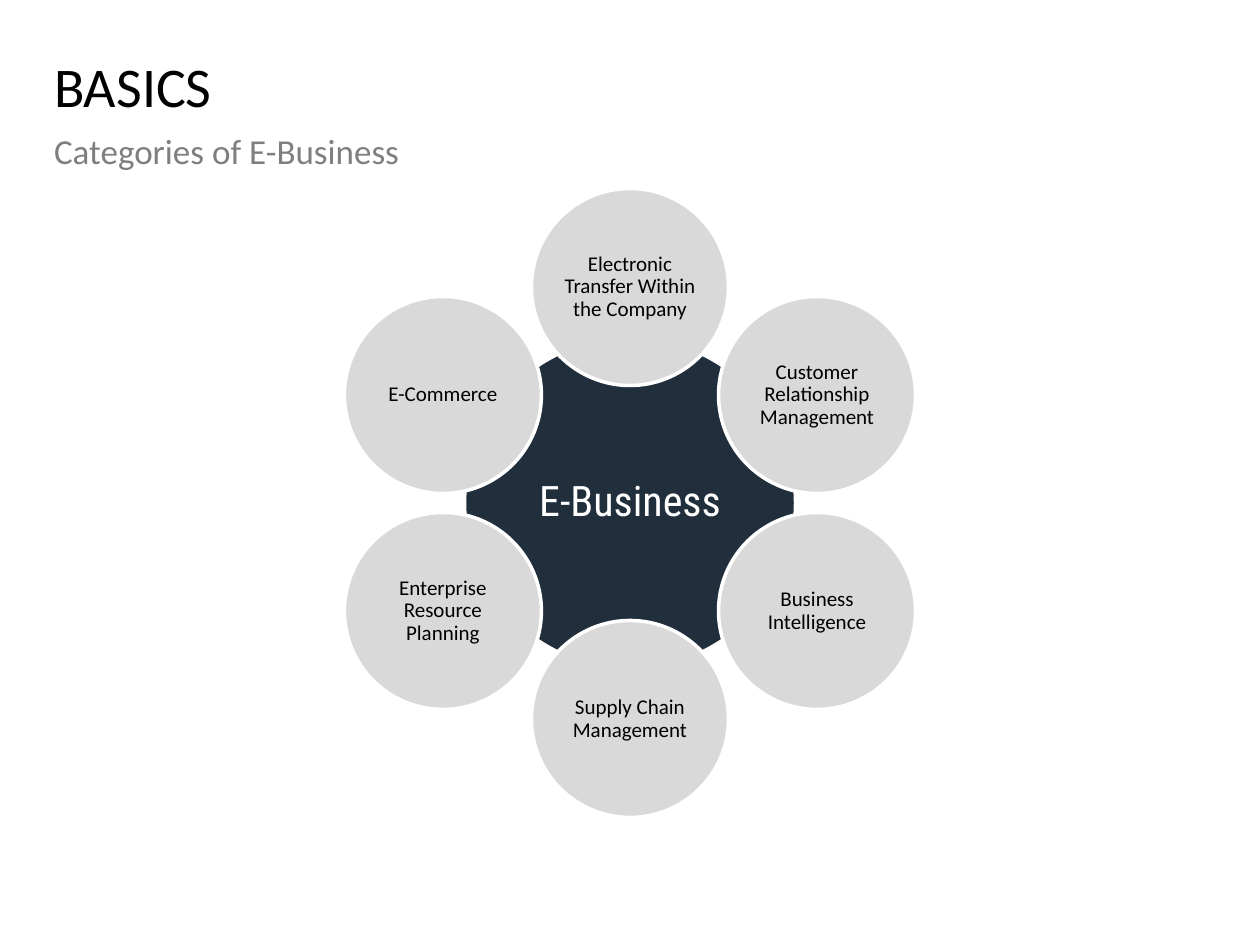
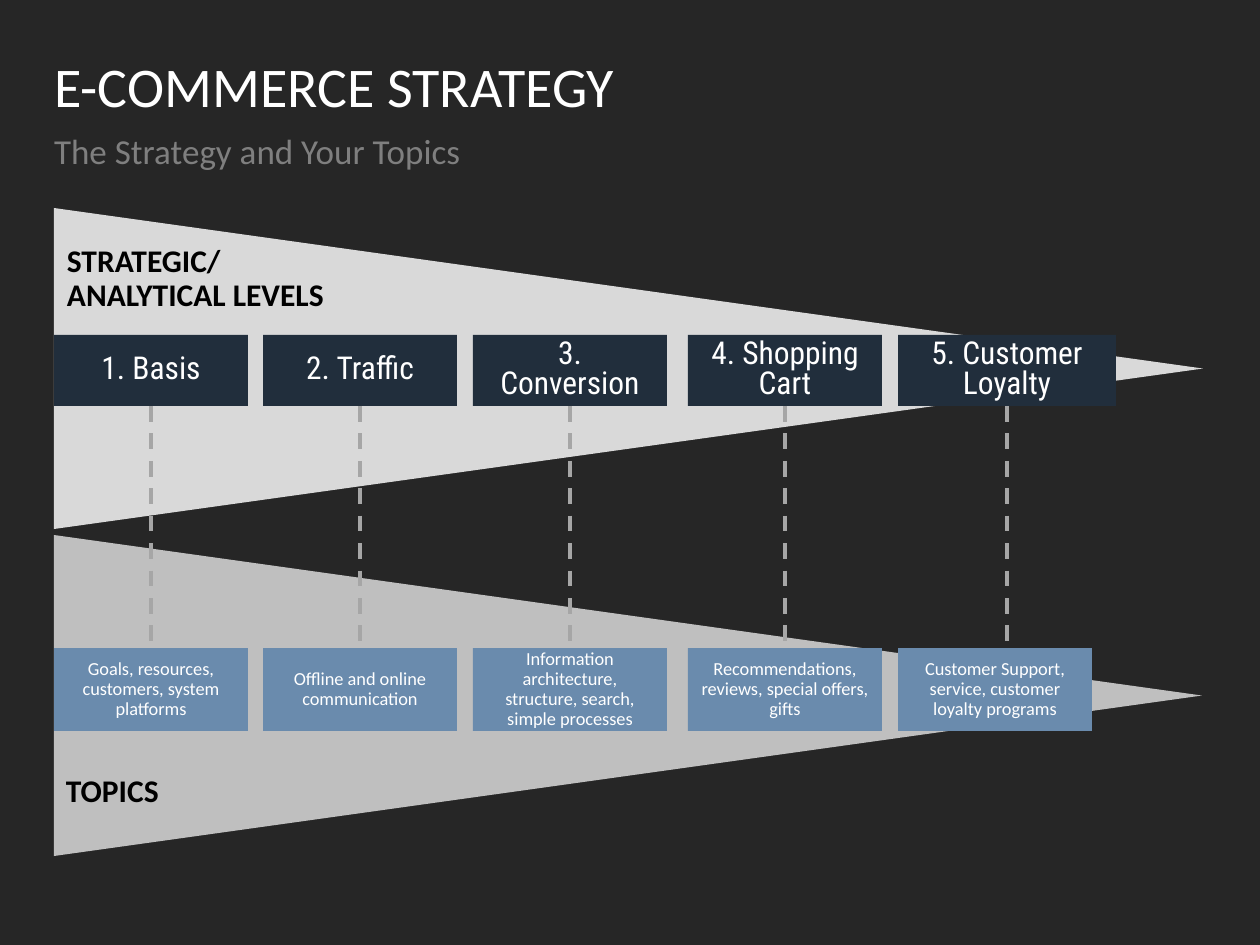
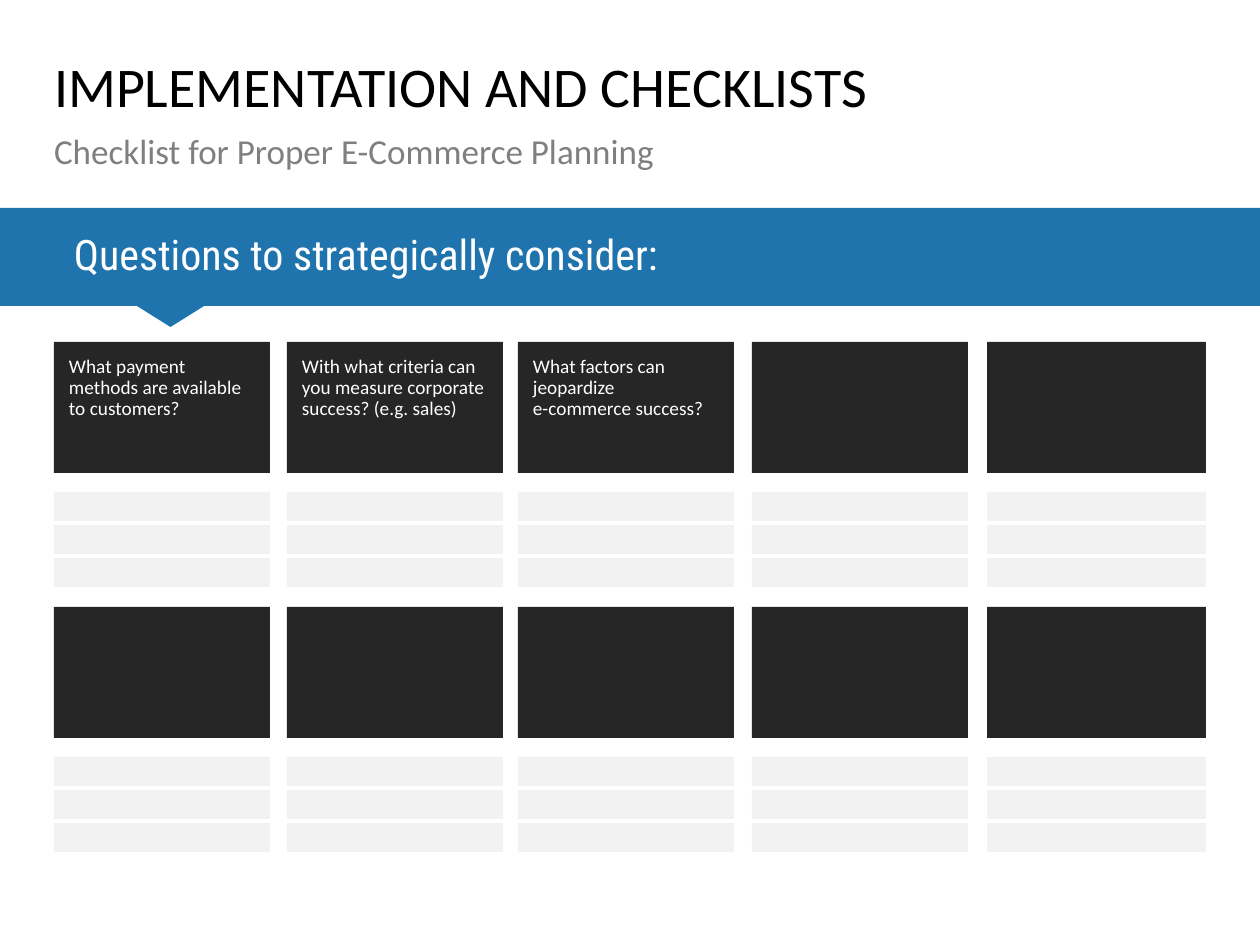
from copy import deepcopy
from math import cos, radians, sin

from lxml.etree import SubElement
from pptx import Presentation
from pptx.dml.color import RGBColor
from pptx.enum.dml import MSO_LINE
from pptx.enum.shapes import MSO_CONNECTOR, MSO_SHAPE
from pptx.enum.text import MSO_ANCHOR, PP_ALIGN
from pptx.oxml.ns import qn
from pptx.util import Pt

PIXEL = 914400 / 126
WHITE = RGBColor(0xFF, 0xFF, 0xFF)
BLACK = RGBColor(0x00, 0x00, 0x00)
CHARCOAL = RGBColor(0x26, 0x26, 0x26)
NAVY = RGBColor(0x21, 0x2E, 0x3C)
BLUE = RGBColor(0x1F, 0x74, 0xAD)
STEEL = RGBColor(0x6A, 0x8B, 0xAD)
GRAY = RGBColor(0x7F, 0x7F, 0x7F)
DASH_GRAY = RGBColor(0xA6, 0xA6, 0xA6)
MID_GRAY = RGBColor(0xBF, 0xBF, 0xBF)
LIGHT_GRAY = RGBColor(0xD9, 0xD9, 0xD9)
PALE_GRAY = RGBColor(0xF2, 0xF2, 0xF2)

BODY_FONT = "Calibri"
ACCENT_FONT = "Roboto Condensed"
MARGIN = 54
CONTENT_WIDTH = 1150

TITLE = {"size": 32, "inset": (0, 0)}
SUBTITLE = {"size": 20, "color": GRAY, "inset": (0, 0)}
CENTERED = {"align": PP_ALIGN.CENTER, "anchor": MSO_ANCHOR.MIDDLE}
HUB = CENTERED | {"size": 24, "font": ACCENT_FONT, "color": WHITE, "inset": (4, 4)}
CATEGORY = CENTERED | {"size": 12, "inset": (2, 2)}
LEVEL = CENTERED | {"size": 18, "font": ACCENT_FONT, "color": WHITE, "spacing": 0.8}
TOPIC = CENTERED | {"size": 10.5, "color": WHITE}
HEADING = {"size": 18, "bold": True}
BAND = {"size": 24, "font": ACCENT_FONT, "color": WHITE,
        "anchor": MSO_ANCHOR.MIDDLE, "inset": (74, 6)}
QUESTION = {"size": 11, "color": WHITE, "inset": (15, 15)}


def px(value):
    return round(value * PIXEL)


def apply(target, values):
    for name, value in values.items():
        setattr(target, name, value)


class Deck:
    def __init__(self):
        self.presentation = Presentation()
        apply(self.presentation, {"slide_width": px(1260), "slide_height": px(945)})
        self.slide = None

    def add_slide(self, title, subtitle, background=WHITE, title_color=BLACK):
        self.slide = self.presentation.slides.add_slide(self.presentation.slide_layouts[6])
        fill = self.slide.background.fill
        fill.solid()
        fill.fore_color.rgb = background
        self.text(MARGIN, 59, CONTENT_WIDTH, 149, title, TITLE | {"color": title_color})
        self.text(MARGIN, 134, CONTENT_WIDTH, 74, subtitle, SUBTITLE)

    def fill_text(self, shape, text, style):
        horizontal, vertical = (px(side) for side in style.get("inset", (13, 6)))
        frame = shape.text_frame
        apply(frame, {
            "word_wrap": True,
            "vertical_anchor": style.get("anchor", MSO_ANCHOR.TOP),
            "margin_left": horizontal, "margin_right": horizontal,
            "margin_top": vertical, "margin_bottom": vertical,
        })
        paragraph = frame.paragraphs[0]
        paragraph.text = text
        apply(paragraph, {
            "alignment": style.get("align", PP_ALIGN.LEFT),
            "line_spacing": style.get("spacing", 0.9),
        })
        for run in paragraph.runs:
            apply(run.font, {
                "name": style.get("font", BODY_FONT),
                "size": Pt(style["size"]),
                "bold": style.get("bold", False),
            })
            run.font.color.rgb = style.get("color", BLACK)
        for line_break in paragraph._p.findall(qn("a:br")):
            line_break.insert(0, deepcopy(paragraph.runs[0]._r.rPr))

    def text(self, left, top, width, height, text, style):
        box = self.slide.shapes.add_textbox(px(left), px(top), px(width), px(height))
        self.fill_text(box, text, style)

    def shape(self, kind, left, top, width, height, color,
              text="", style=None, outline=None, rotation=0):
        shape = self.slide.shapes.add_shape(kind, px(left), px(top), px(width), px(height))
        shape.shadow.inherit = False
        shape.rotation = rotation
        shape.fill.solid()
        shape.fill.fore_color.rgb = color
        if outline:
            shape.line.color.rgb = outline
            shape.line.width = Pt(2)
        else:
            shape.line.fill.background()
        if text:
            self.fill_text(shape, text, style)
        return shape

    def rectangle(self, *box, **options):
        return self.shape(MSO_SHAPE.RECTANGLE, *box, **options)

    def circle(self, center_x, center_y, diameter, color, text, style):
        self.shape(MSO_SHAPE.OVAL, center_x - diameter / 2, center_y - diameter / 2,
                   diameter, diameter, color, text, style, WHITE)

    def wedge(self, left, top, length, height, color):
        shift = (length - height) / 2
        self.shape(MSO_SHAPE.FLOWCHART_MERGE, left + shift, top - shift,
                   height, length, color, rotation=270)

    def dashed_line(self, upper, lower):
        center = upper.left + upper.width // 2
        line = self.slide.shapes.add_connector(
            MSO_CONNECTOR.STRAIGHT, center, upper.top + upper.height, center, lower.top)
        line.begin_connect(upper, 2)
        if upper.width == lower.width:
            line.end_connect(lower, 0)
        line.line.color.rgb = DASH_GRAY
        apply(line.line, {"width": Pt(2.25), "dash_style": MSO_LINE.DASH})
        SubElement(line._element.spPr, qn("a:effectLst"))


def add_categories(deck):
    deck.add_slide("BASICS", "Categories of E-Business")
    center_x, center_y, orbit = 630, 503, 216
    categories = [
        "Electronic Transfer Within the Company",
        "Customer Relationship Management",
        "Business Intelligence",
        "Supply Chain Management",
        "Enterprise Resource Planning",
        "E-Commerce",
    ]
    deck.circle(center_x, center_y, 331, NAVY, "E-Business", HUB)
    for index, category in enumerate(categories):
        angle = radians(index * 360 / len(categories))
        deck.circle(center_x + orbit * sin(angle), center_y - orbit * cos(angle),
                    197, LIGHT_GRAY, category, CATEGORY)


def add_strategy(deck):
    deck.add_slide("E-COMMERCE STRATEGY", "The Strategy and Your Topics", CHARCOAL, WHITE)
    deck.wedge(MARGIN, 208, 1149, 321, LIGHT_GRAY)
    deck.wedge(MARGIN, 535, 1148, 321, MID_GRAY)
    deck.text(54, 239, 402, 82, "STRATEGIC/\nANALYTICAL LEVELS", HEADING)
    deck.text(53, 769, 378, 47, "TOPICS", HEADING)
    columns = [
        (54, 194, "1. Basis", "Goals, resources, customers, system platforms"),
        (263, 194, "2. Traffic", "Offline and online communication"),
        (473, 194, "3. Conversion",
         "Information architecture, structure, search, simple processes"),
        (688, 194, "4. Shopping Cart", "Recommendations, reviews, special offers, gifts"),
        (898, 218, "5. Customer Loyalty",
         "Customer Support, service, customer loyalty programs"),
    ]
    for left, level_width, level, topic in columns:
        level_box = deck.rectangle(left, 335, level_width, 71, NAVY, text=level, style=LEVEL)
        topic_box = deck.rectangle(left, 648, 194, 83, STEEL, text=topic, style=TOPIC)
        deck.dashed_line(level_box, topic_box)


def add_checklist(deck):
    deck.add_slide("IMPLEMENTATION AND CHECKLISTS", "Checklist for Proper E-Commerce Planning")
    deck.rectangle(0, 208, 1260, 98, BLUE,
                   text="Questions to strategically consider:", style=BAND)
    deck.shape(MSO_SHAPE.ISOSCELES_TRIANGLE, 137, 306, 67, 21, BLUE, rotation=180)
    columns = [(54, 216), (287, 216), (518, 216), (752, 216), (987, 219)]
    questions = [
        "What payment methods are available to customers?",
        "With what criteria can you measure corporate success? (e.g. sales)",
        "What factors can jeopardize\ne-commerce success?",
    ]
    question_rows = [(342, questions + [""] * 2), (607, [""] * 5)]
    for top, row in question_rows:
        for (left, width), question in zip(columns, row):
            deck.rectangle(left, top, width, 131, CHARCOAL, text=question, style=QUESTION)
            for answer in range(3):
                deck.rectangle(left, top + 150 + 33 * answer, width, 29, PALE_GRAY)


def main():
    deck = Deck()
    add_categories(deck)
    add_strategy(deck)
    add_checklist(deck)
    deck.presentation.save("out.pptx")


if __name__ == "__main__":
    main()
